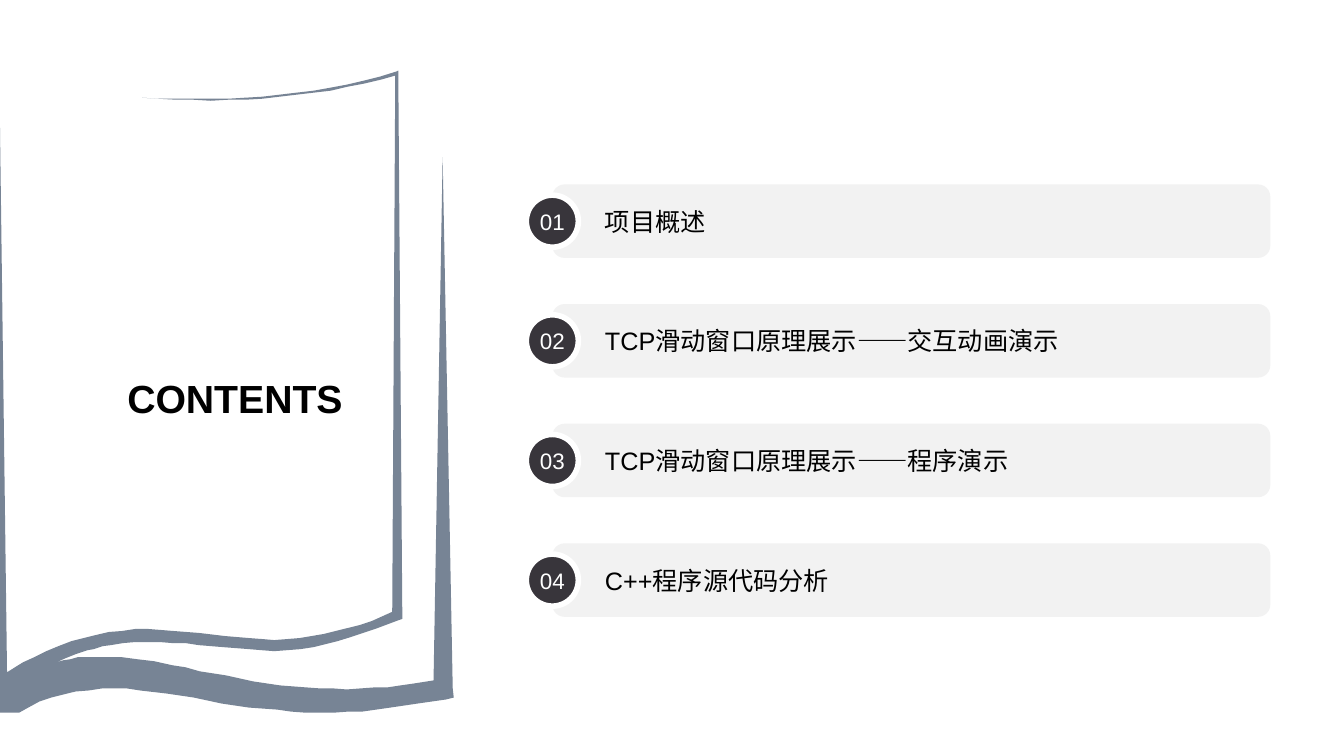
import pptx
import pptx.util
import pptx.dml.color
import pptx.enum.shapes
import pptx.enum.text

COLORS = {"book": "778495", "bar": "F2F2F2", "badge": "38353B", "white": "FFFFFF", "text": "000000"}
FONT = "Arial"
SLIDE_W, SLIDE_H = pptx.util.Inches(13.33), pptx.util.Inches(7.5)
ITEMS = ["项目概述", "TCP滑动窗口原理展示——交互动画演示", "TCP滑动窗口原理展示——程序演示", "C++程序源代码分析"]

BOOK_COLUMNS = 450
PAGE_OUTER_EDGE = [
    (395, 0), (399, 540), (399, 544), (396, 545), (372, 554), (348, 562), (335, 566),
    (323, 569), (311, 572), (298, 573.5), (285, 575), (272, 575.5), (259, 575),
    (247, 574.5), (221, 572), (197, 569.5), (184, 568.5), (171, 567.5), (159, 567),
    (147, 567), (134, 567.3), (122, 568), (110, 569.5), (102, 571), (93, 573.5),
    (87, 575), (75, 579), (65, 583), (56, 587),
]
COVER_TOP_EDGE = [
    (63, 585), (70, 583.5), (77, 582.5), (85, 582), (92, 581.7), (107, 581.5),
    (121, 582), (136, 583.5), (153, 586), (171, 589.5), (184, 592.5), (198, 595.5),
    (224, 600.5), (251, 605.5), (278, 609.5), (291, 611), (304, 612.3), (318, 613),
    (331, 613.4), (344, 613.5), (357, 613), (371, 612.4), (384, 611.5), (397, 610.3),
    (411, 608.5), (430, 605),
]
COVER_BOTTOM_EDGE = [
    (439, 86), (449, 613), (450, 622), (442, 623.5), (414, 628.5), (387, 632.5),
    (373, 634.3), (359, 635.5), (345, 636.4), (331, 637), (317, 637), (303, 636.7),
    (289, 635.7), (275, 634.5), (247, 631.5), (220, 627.5), (192, 622.5), (165, 618.3),
    (139, 614.7), (126, 613.2), (113, 613), (101, 613.3), (88, 614.6), (75, 616.3),
    (63, 619), (51, 622.5), (39, 626.5), (28, 632), (19, 637), (0, 637),
]
PAGE_INNER_EDGE = [
    (0, 57), (7, 597), (18, 590), (23, 587), (34, 581.5), (46, 576), (58, 571), (71, 566.5),
    (83, 563), (95, 560), (108, 557), (121, 555.5), (134, 554.5), (147, 554.2),
    (160, 554.8), (172, 555.8), (185, 557), (198, 558.3), (223, 561), (247, 563.3),
    (260, 564.3), (272, 564.6), (285, 564), (297, 563), (309, 561), (321, 559),
    (333, 556), (345, 553), (357, 549.5), (369, 545.5), (389, 537), (392, 5),
]
PAGE_TOP_EDGE = [
    (378, 9), (361, 13), (345, 16.5), (328, 20), (311, 22.2), (294, 24.3), (277, 26.3),
    (260, 27.7), (243, 28.7), (226, 29.3), (209, 29.5), (192, 29.3), (175, 28.8),
    (157, 28.2), (141, 27), (157, 27.8), (175, 28.3), (192, 28.5), (209, 28.4),
    (226, 28), (243, 27.3), (260, 26), (277, 24.4), (294, 22.3), (311, 20),
    (328, 17.2), (344, 14), (361, 10.5), (377, 6), (393, 1),
]


def rgb(name):
    return pptx.dml.color.RGBColor.from_string(COLORS[name])


def set_text(sp, text, size, color="text", bold=False, align="LEFT", wrap=True, left=None):
    tf = sp.text_frame
    tf.word_wrap = wrap
    tf.auto_size = pptx.enum.text.MSO_AUTO_SIZE.NONE
    tf.vertical_anchor = pptx.enum.text.MSO_ANCHOR.MIDDLE
    if left is not None:
        tf.margin_left = left
    p = tf.paragraphs[0]
    p.alignment = pptx.enum.text.PP_ALIGN[align]
    r = p.add_run()
    r.text = text
    r.font.name, r.font.size, r.font.bold = FONT, pptx.util.Pt(size), bold
    r.font.color.rgb = rgb(color)


def paint(sp, fill, line=None, width=0):
    sp.shadow.inherit = False
    sp.fill.solid()
    sp.fill.fore_color.rgb = rgb(fill)
    if line:
        sp.line.color.rgb = rgb(line)
        sp.line.width = pptx.util.Pt(width)
    else:
        sp.line.fill.background()


def add_book(s, x, y, w):
    points = PAGE_OUTER_EDGE + COVER_TOP_EDGE + COVER_BOTTOM_EDGE + PAGE_INNER_EDGE + PAGE_TOP_EDGE
    scale = w / BOOK_COLUMNS
    outline = s.shapes.build_freeform(*points[0], scale=scale)
    outline.add_line_segments(points[1:], close=True)
    paint(outline.convert_to_shape(int(x), int(y)), "book")


def add_heading(s, x, y, w, h):
    sp = s.shapes.title
    sp.left, sp.top, sp.width, sp.height = int(x), int(y), int(w), int(h)
    set_text(sp, "CONTENTS", 28, bold=True, align="CENTER", wrap=False)


def add_agenda(s, x, y, w, h):
    shapes = pptx.enum.shapes.MSO_SHAPE
    bar_h, badge = h * 0.17, w * 0.07
    pitch = (h - bar_h) / (len(ITEMS) - 1)
    for i, item in enumerate(ITEMS):
        top = y + i * pitch
        bar = s.shapes.add_shape(shapes.ROUNDED_RECTANGLE, int(x + badge / 2), int(top),
                                 int(w - badge / 2), int(bar_h))
        paint(bar, "bar")
        set_text(bar, item, 18, left=int(w * 0.066))
        disc = s.shapes.add_shape(shapes.OVAL, int(x), int(top + (bar_h - badge) / 2),
                                  int(badge), int(badge))
        paint(disc, "badge", line="white", width=4)
        set_text(disc, f"{i + 1:02}", 16, color="white", align="CENTER", wrap=False)


def main():
    prs = pptx.Presentation()
    prs.slide_width, prs.slide_height = SLIDE_W, SLIDE_H
    s = prs.slides.add_slide(prs.slide_layouts.get_by_name("Title Only"))
    add_book(s, 0, SLIDE_H * 0.0933, SLIDE_W * 0.3376)
    add_heading(s, SLIDE_W * 0.0705, SLIDE_H * 0.4853, SLIDE_W * 0.2086, SLIDE_H * 0.0827)
    add_agenda(s, SLIDE_W * 0.3916, SLIDE_H * 0.244, SLIDE_W * 0.5536, SLIDE_H * 0.572)
    prs.save("out.pptx")


if __name__ == "__main__":
    main()
